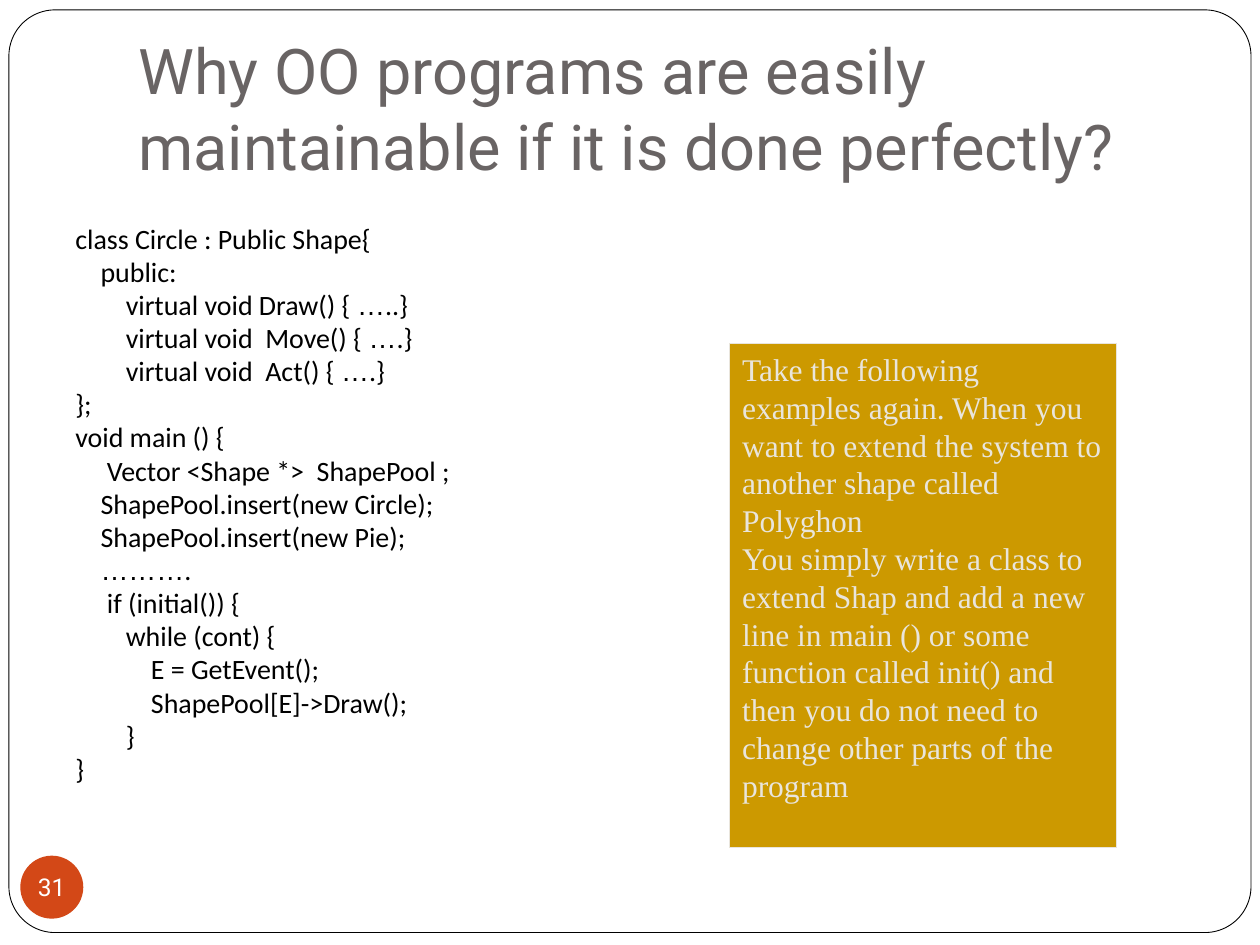
from itertools import groupby

from pptx import Presentation
from pptx.dml.color import RGBColor
from pptx.enum.shapes import MSO_SHAPE
from pptx.enum.text import MSO_ANCHOR, PP_ALIGN
from pptx.util import Cm, Pt

# Content
TITLE = "Why OO programs are easily maintainable if it is done perfectly?"
CODE = """class Circle : Public Shape{
    public:
        virtual void Draw() { …..}
        virtual void  Move() { ….}
        virtual void  Act() { ….}
};
void main () {
     Vector <Shape *>  ShapePool ;
    ShapePool.insert(new Circle);
    ShapePool.insert(new Pie);
    ……….
     if (initial()) {
        while (cont) {
            E = GetEvent();
            ShapePool[E]->Draw();
        }
}""".split("\n")
NOTE = [
    "Take the following examples again. When you want to extend the system to another shape called Polyghon",
    "You simply write a class to extend Shap and add a new",
    "line in main () or some function called init() and then you do not need to change other parts of the program",
]
PAGE = "31"

BLACK = RGBColor(0x00, 0x00, 0x00)
WHITE = RGBColor(0xFF, 0xFF, 0xFF)
GREY = RGBColor(0x69, 0x64, 0x64)
GOLD = RGBColor(0xCC, 0x99, 0x00)
CREAM = RGBColor(0xE9, 0xE5, 0xDC)
ORANGE = RGBColor(0xD3, 0x48, 0x17)


def style(r, font, size, color):
    r.font.name = font
    r.font.size = Pt(size)
    r.font.color.rgb = color


def add_shape(s, kind, box, fill, line=None, width=0):
    sp = s.shapes.add_shape(kind, *map(Cm, box))
    sp.shadow.inherit = False
    sp.fill.solid()
    sp.fill.fore_color.rgb = fill
    if line is None:
        sp.line.fill.background()
    else:
        sp.line.color.rgb = line
        sp.line.width = Pt(width)
    return sp


def write(sp, lines, font, size, color, align=PP_ALIGN.LEFT, anchor=MSO_ANCHOR.TOP):
    tf = sp.text_frame
    tf.word_wrap = True
    tf.vertical_anchor = anchor
    tf.text = "\n".join(lines)
    for p in tf.paragraphs:
        p.alignment = align
        for r in p.runs:
            style(r, font, size, color)
    return tf


prs = Presentation()
prs.slide_width, prs.slide_height = Cm(25.4), Cm(19.05)
s = prs.slides.add_slide(prs.slide_layouts[6])

# Rounded frame
frame = add_shape(s, MSO_SHAPE.ROUNDED_RECTANGLE, (0.18, 0.2, 25.04, 18.6), WHITE, BLACK, 0.5)
frame.adjustments[0] = 0.05

# Title
title = s.shapes.add_textbox(Cm(2.54), Cm(0.76), Cm(21.59), Cm(3.18))
tf = write(title, [TITLE], "Roboto", 36, GREY, anchor=MSO_ANCHOR.BOTTOM)
tf.margin_bottom = Cm(0.25)

# Code listing, with its ellipses in Arial
code = s.shapes.add_textbox(Cm(1.27), Cm(4.52), Cm(22.86), Cm(12.5))
tf = code.text_frame
tf.word_wrap = True
for i, line in enumerate(CODE):
    p = tf.add_paragraph() if i else tf.paragraphs[0]
    p.line_spacing = 0.7
    p.space_before = Pt(5.5 if i else 0)
    for dots, chars in groupby(line, lambda c: c == "…"):
        r = p.add_run()
        r.text = "".join(chars)
        style(r, "Arial" if dots else "Calibri", 16, BLACK)

# Explanation box
note = add_shape(s, MSO_SHAPE.RECTANGLE, (14.71, 6.93, 7.8, 10.16), GOLD, CREAM, 0.75)
write(note, NOTE, "Times New Roman", 18, CREAM)

# Page number
badge = add_shape(s, MSO_SHAPE.OVAL, (0.41, 17.25, 1.27, 1.27), ORANGE)
tf = write(badge, [PAGE], "Roboto", 14, WHITE, PP_ALIGN.CENTER, MSO_ANCHOR.MIDDLE)
tf.word_wrap = False
tf.margin_left = tf.margin_right = tf.margin_top = tf.margin_bottom = 0

prs.save("out.pptx")
